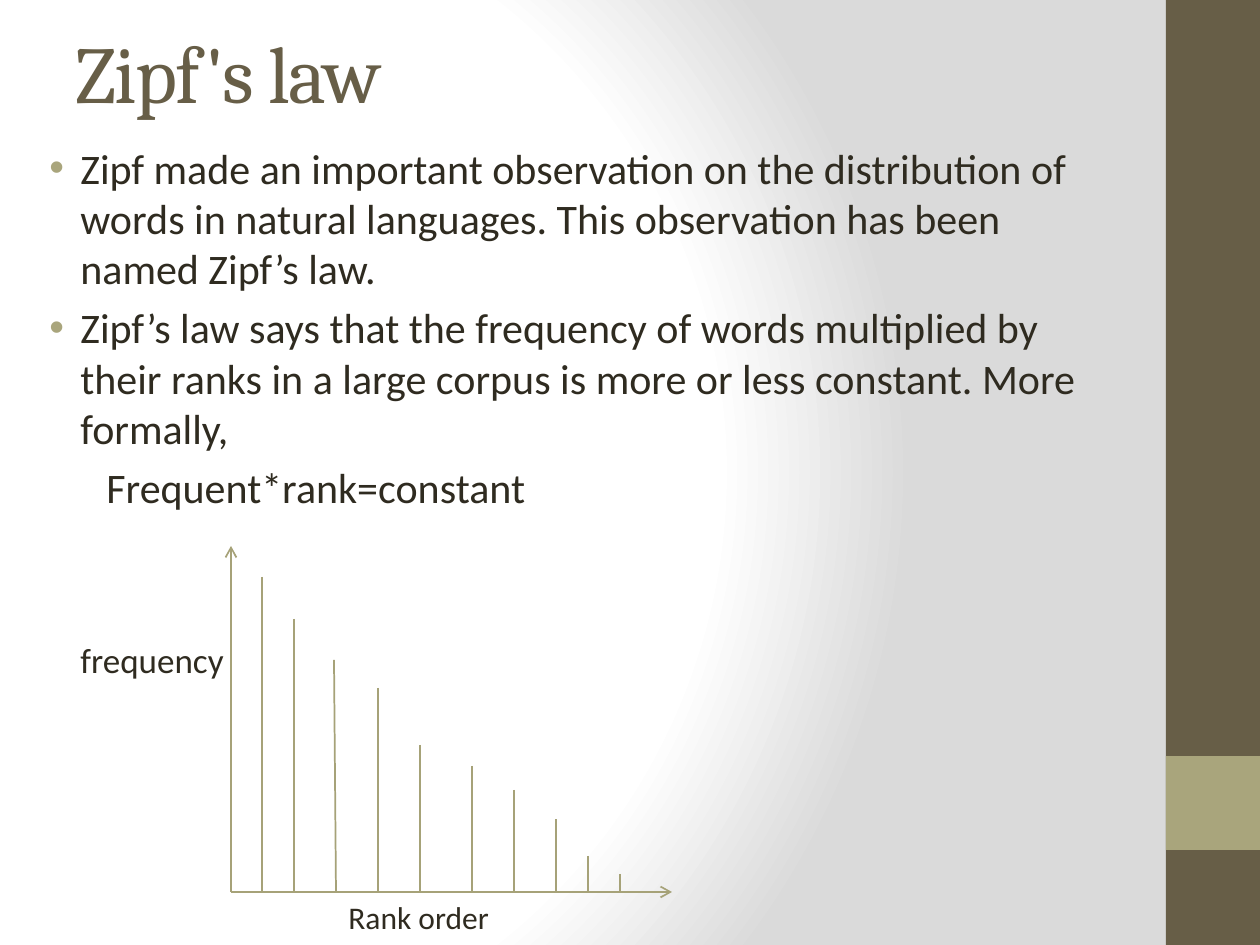
"""Builds the Zipf's law slide: two bullets, the formula and a rank-frequency sketch."""
from lxml import etree
from pptx import Presentation
from pptx import util as u
from pptx.dml.color import RGBColor
from pptx.enum import shapes, text
from pptx.oxml.ns import qn

SCALE = 914400 / 126
COLORS = {"brown": "675E47", "olive": "A9A57C", "line": "A6A278", "ink": "2F2B20",
          "white": "FFFFFF", "gray": "DADADA"}
TITLE = "Zipf's law"
BULLETS = [
    "Zipf made an important observation on the distribution of words in natural languages. "
    "This observation has been named Zipf’s law.",
    "Zipf’s law says that the frequency of words multiplied by their ranks in a large corpus "
    "is more or less constant. More formally,",
]
FORMULA = "Frequent*rank=constant"
AXIS_LABELS = [("frequency", 20, (68, 632, 170, 56)), ("Rank order", 18, (336, 892, 284, 50))]
BANDS = [("brown", (1166, 0, 94, 945)), ("olive", (1166, 756, 94, 94))]
ORIGIN = (231, 892)
AXIS_ENDS = [(231, 546), (672, 892)]
STEMS = [(262, 262, 577), (294, 294, 619), (336, 334, 660), (378, 378, 688), (420, 420, 745),
         (472, 472, 766), (514, 514, 790), (556, 556, 819), (588, 588, 856), (620, 620, 874)]


def px(*lengths):
    return [u.Emu(round(length * SCALE)) for length in lengths]


def rgb(name):
    return RGBColor.from_string(COLORS[name])


def paint_background(slide):
    props = slide.background.fill
    props.gradient()
    grad = slide.background._cSld.find(".//" + qn("a:gradFill"))
    for child in list(grad):
        grad.remove(child)
    stops = etree.SubElement(grad, qn("a:gsLst"))
    for position, name in [(0, "white"), (75, "white"), (100, "gray")]:
        stop = etree.SubElement(stops, qn("a:gs"), pos=str(position * 1000))
        etree.SubElement(stop, qn("a:srgbClr"), val=COLORS[name])
    circle = etree.SubElement(grad, qn("a:path"), path="circle")
    etree.SubElement(circle, qn("a:fillToRect"), l="20000", t="50000", r="100000", b="50000")


def style(paragraph, size, color="ink", font="Calibri"):
    paragraph.alignment = text.PP_ALIGN.LEFT
    for run in paragraph.runs:
        run.font.size, run.font.name = u.Pt(size), font
        run.font.color.rgb = rgb(color)


def indent(paragraph, left, first, bullet=None):
    props = paragraph._p.get_or_add_pPr()
    for key, length in zip(("marL", "indent"), px(left, first)):
        props.set(key, str(length))
    if bullet:
        color = etree.SubElement(props, qn("a:buClr"))
        etree.SubElement(color, qn("a:srgbClr"), val=COLORS["olive"])
        etree.SubElement(props, qn("a:buFont"), typeface="Arial")
        etree.SubElement(props, qn("a:buChar"), char=bullet)


def add_band(slide, color, box):
    band = slide.shapes.add_shape(shapes.MSO_SHAPE.RECTANGLE, *px(*box))
    band.shadow.inherit = False
    band.fill.solid()
    band.fill.fore_color.rgb = rgb(color)
    band.line.fill.background()


def add_title(slide):
    title = slide.shapes.title
    title.left, title.top, title.width, title.height = px(63, 38, 1050, 67)
    title.text_frame.text = TITLE
    title.text_frame.auto_size = text.MSO_AUTO_SIZE.NONE
    title.text_frame.vertical_anchor = text.MSO_ANCHOR.MIDDLE
    heading = title.text_frame.paragraphs[0]
    style(heading, 46, "brown", "Cambria")
    heading.runs[0].font._element.set("spc", "-100")


def add_body(slide):
    frame = slide.shapes.add_textbox(*px(21, 136, 1113, 390)).text_frame
    frame.word_wrap = True
    frame.text = "\n".join(BULLETS + [FORMULA])
    for paragraph in frame.paragraphs:
        style(paragraph, 24)
        paragraph.space_before = u.Pt(4.8)
    *points, formula = frame.paragraphs
    for point in points:
        indent(point, 47, -31, "•")
    indent(formula, 73, 0)


def add_line(slide, start, end, arrow=False):
    line = slide.shapes.add_connector(shapes.MSO_CONNECTOR.STRAIGHT, *px(*start, *end))
    line.line.color.rgb = rgb("line")
    line.line.width = u.Pt(1)
    if arrow:
        etree.SubElement(line.line._get_or_add_ln(), qn("a:tailEnd"), type="arrow")
    etree.SubElement(line._element.spPr, qn("a:effectLst"))


def add_label(slide, words, size, box):
    frame = slide.shapes.add_textbox(*px(*box)).text_frame
    frame.word_wrap = True
    frame.text = words
    style(frame.paragraphs[0], size)


def main():
    deck = Presentation()
    deck.slide_width, deck.slide_height = px(1260, 945)
    slide = deck.slides.add_slide(deck.slide_layouts[5])
    paint_background(slide)
    for color, box in BANDS:
        add_band(slide, color, box)
    add_title(slide)
    add_body(slide)
    for end in AXIS_ENDS:
        add_line(slide, ORIGIN, end, arrow=True)
    for foot, tip, top in STEMS:
        add_line(slide, (tip, top), (foot, ORIGIN[1]))
    for words, size, box in AXIS_LABELS:
        add_label(slide, words, size, box)
    deck.save("out.pptx")


if __name__ == "__main__":
    main()
